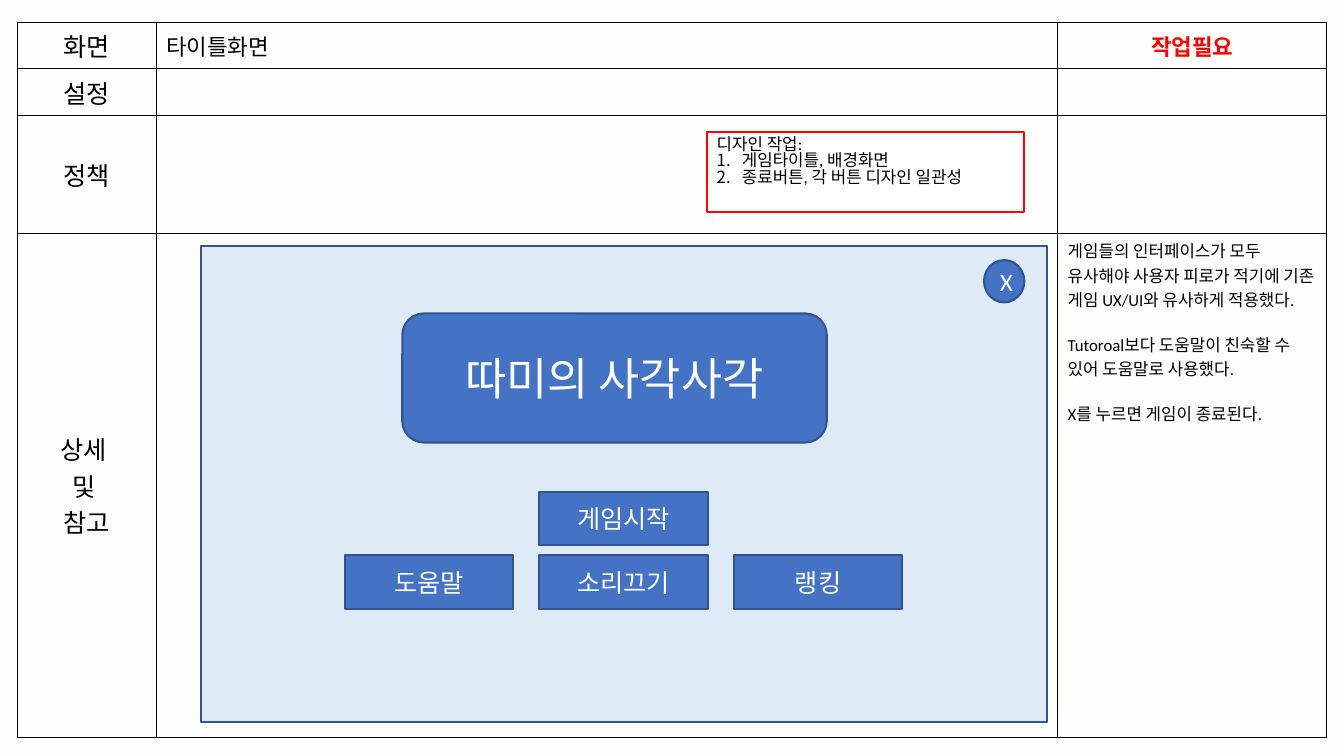
from dataclasses import dataclass

from lxml.etree import SubElement
from pptx import Presentation
from pptx.dml.color import RGBColor as RGB
from pptx.enum.shapes import MSO_SHAPE as SHAPE
from pptx.enum.text import MSO_ANCHOR as ANCHOR, PP_ALIGN as ALIGN
from pptx.oxml.ns import qn
from pptx.util import Inches, Pt


@dataclass(frozen=True)
class Theme:
    font: str = "Calibri"
    paper: RGB = RGB(0xFE, 0xFE, 0xFD)
    white: RGB = RGB(0xFF, 0xFF, 0xFF)
    black: RGB = RGB(0, 0, 0)
    red: RGB = RGB(0xFF, 0, 0)
    panel: RGB = RGB(0xDE, 0xEB, 0xF7)
    button: RGB = RGB(0x44, 0x72, 0xC4)
    outline: RGB = RGB(0x32, 0x54, 0x91)
    title: int = 32
    label: int = 18
    heading: int = 16
    note: int = 12


T = Theme()

COLUMNS = (1.38, 8.94, 2.67)
ROWS = (0.46, 0.46, 1.17, 5)
ROW_LABELS = ("화면", "설정", "정책", "상세 \n및 \n참고")
DETAILS = (
    "게임들의 인터페이스가 모두 유사해야 사용자 피로가 적기에 "
    "기존 게임 UX/UI와 유사하게 적용했다.\n"
    "Tutoroal보다 도움말이 친숙할 수 있어 도움말로 사용했다.\n"
    "X를 누르면 게임이 종료된다."
)
DESIGN_TASKS = "디자인 작업:\n게임타이틀, 배경화면\n종료버튼, 각 버튼 디자인 일관성"


def write(tf, text, size, color, align=ALIGN.LEFT, bold=False):
    tf.text = text
    for p in tf.paragraphs:
        p.alignment = align
        for r in p.runs:
            r.font.name = T.font
            r.font.size = Pt(size)
            r.font.bold = bold
            r.font.color.rgb = color


def style_cell(cell):
    tcPr = cell._tc.get_or_add_tcPr()
    for side in ("lnL", "lnR", "lnT", "lnB"):
        ln = SubElement(tcPr, qn(f"a:{side}"), w=str(Pt(1)))
        fill = SubElement(ln, qn("a:solidFill"))
        SubElement(fill, qn("a:srgbClr"), val=str(T.black))
    cell.fill.background()


def add_spec_table(slide):
    frame = slide.shapes.add_table(
        len(ROWS), len(COLUMNS), Inches(0.17), Inches(0.22),
        Inches(sum(COLUMNS)), Inches(sum(ROWS)))
    table = frame.table
    table.first_row = table.horz_banding = False
    for column, width in zip(table.columns, COLUMNS):
        column.width = Inches(width)
    for row, height in zip(table.rows, ROWS):
        row.height = Inches(height)
    for cell in table.iter_cells():
        style_cell(cell)

    # Row labels and header
    for i, label in enumerate(ROW_LABELS):
        cell = table.cell(i, 0)
        cell.vertical_anchor = ANCHOR.MIDDLE
        write(cell.text_frame, label, T.label, T.black, ALIGN.CENTER)
    screen, status = table.cell(0, 1), table.cell(0, 2)
    screen.vertical_anchor = status.vertical_anchor = ANCHOR.MIDDLE
    write(screen.text_frame, "타이틀화면", T.heading, T.black)
    write(status.text_frame, "작업필요", T.heading, T.red, ALIGN.CENTER, bold=True)

    # Explanations beside the mock-up
    details = table.cell(3, 2).text_frame
    write(details, DETAILS, T.note, T.black)
    for p in details.paragraphs[1:]:
        p.space_before = Pt(14.5)


def add_box(slide, kind, left, top, width, height, fill, line):
    sp = slide.shapes.add_shape(
        kind, Inches(left), Inches(top), Inches(width), Inches(height))
    sp.shadow.inherit = False
    sp.fill.solid()
    sp.fill.fore_color.rgb = fill
    sp.line.color.rgb = line
    sp.line.width = Pt(1.5)
    sp.text_frame.word_wrap = True
    return sp


def add_button(slide, text, left, top, width=1.67, height=0.53,
               kind=SHAPE.RECTANGLE, size=T.label):
    sp = add_box(slide, kind, left, top, width, height, T.button, T.outline)
    sp.text_frame.vertical_anchor = ANCHOR.MIDDLE
    write(sp.text_frame, text, size, T.white, ALIGN.CENTER)


def add_task_note(slide):
    sp = add_box(slide, SHAPE.RECTANGLE, 7.01, 1.31, 3.15, 0.79, T.white, T.red)
    tf = sp.text_frame
    tf.vertical_anchor = ANCHOR.TOP
    write(tf, DESIGN_TASKS, T.note, T.black)
    for p in tf.paragraphs:
        p.line_spacing = 0.82
    for p in tf.paragraphs[1:]:
        pPr = p._p.get_or_add_pPr()
        pPr.set("marL", str(Inches(0.25)))
        pPr.set("indent", str(-Inches(0.25)))
        SubElement(pPr, qn("a:buFont"), typeface="+mj-lt")
        SubElement(pPr, qn("a:buAutoNum"), type="arabicPeriod")


def add_mockup(slide):
    add_box(slide, SHAPE.RECTANGLE, 1.99, 2.44, 8.39, 4.72, T.panel, T.outline)
    add_button(slide, "따미의 사각사각", 3.99, 3.11, 4.21, 1.28,
               SHAPE.ROUNDED_RECTANGLE, T.title)
    add_button(slide, "X", 9.76, 2.58, 0.4, 0.42, SHAPE.OVAL)
    add_button(slide, "게임시작", 5.35, 4.88)
    for i, text in enumerate(("도움말", "소리끄기", "랭킹")):
        add_button(slide, text, 3.42 + 1.93 * i, 5.51)


def main():
    prs = Presentation()
    prs.slide_width, prs.slide_height = Inches(13.33), Inches(7.5)
    slide = prs.slides.add_slide(prs.slide_layouts[6])
    slide.background.fill.solid()
    slide.background.fill.fore_color.rgb = T.paper

    add_spec_table(slide)
    add_mockup(slide)
    add_task_note(slide)
    prs.save("out.pptx")


if __name__ == "__main__":
    main()
